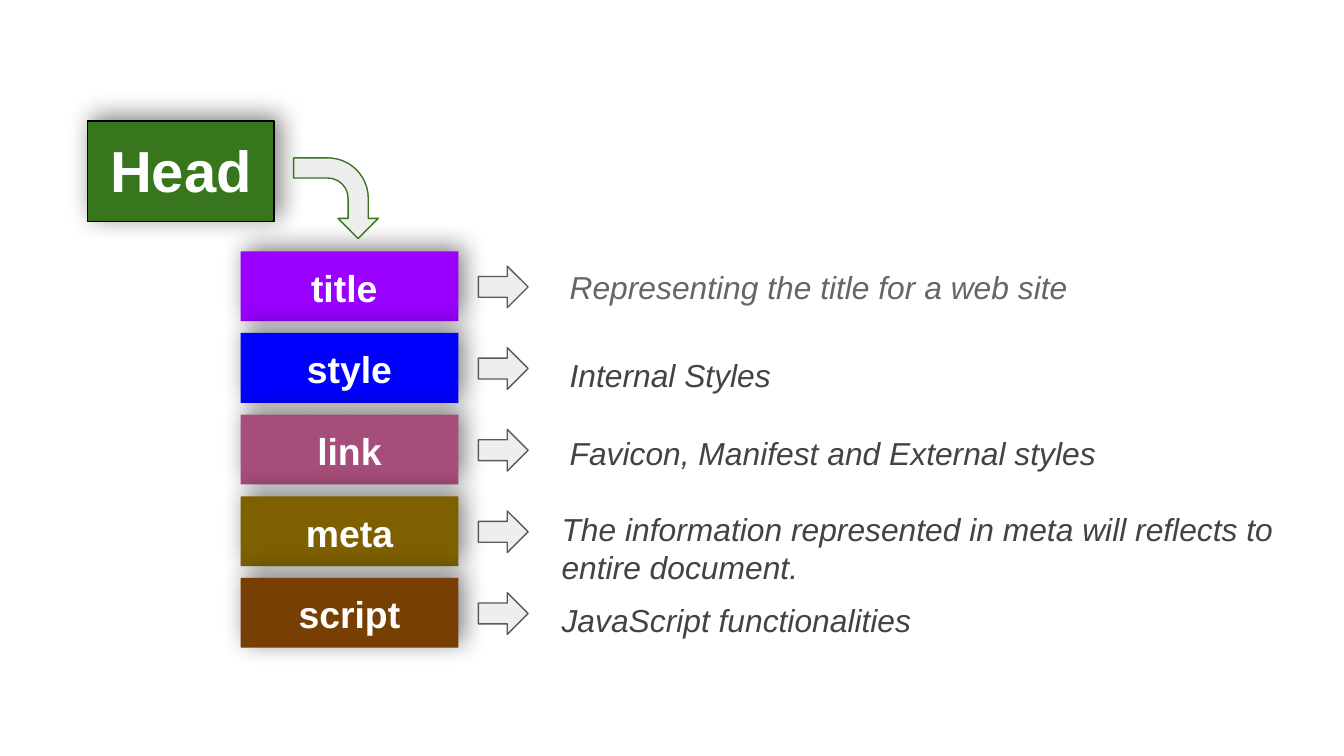
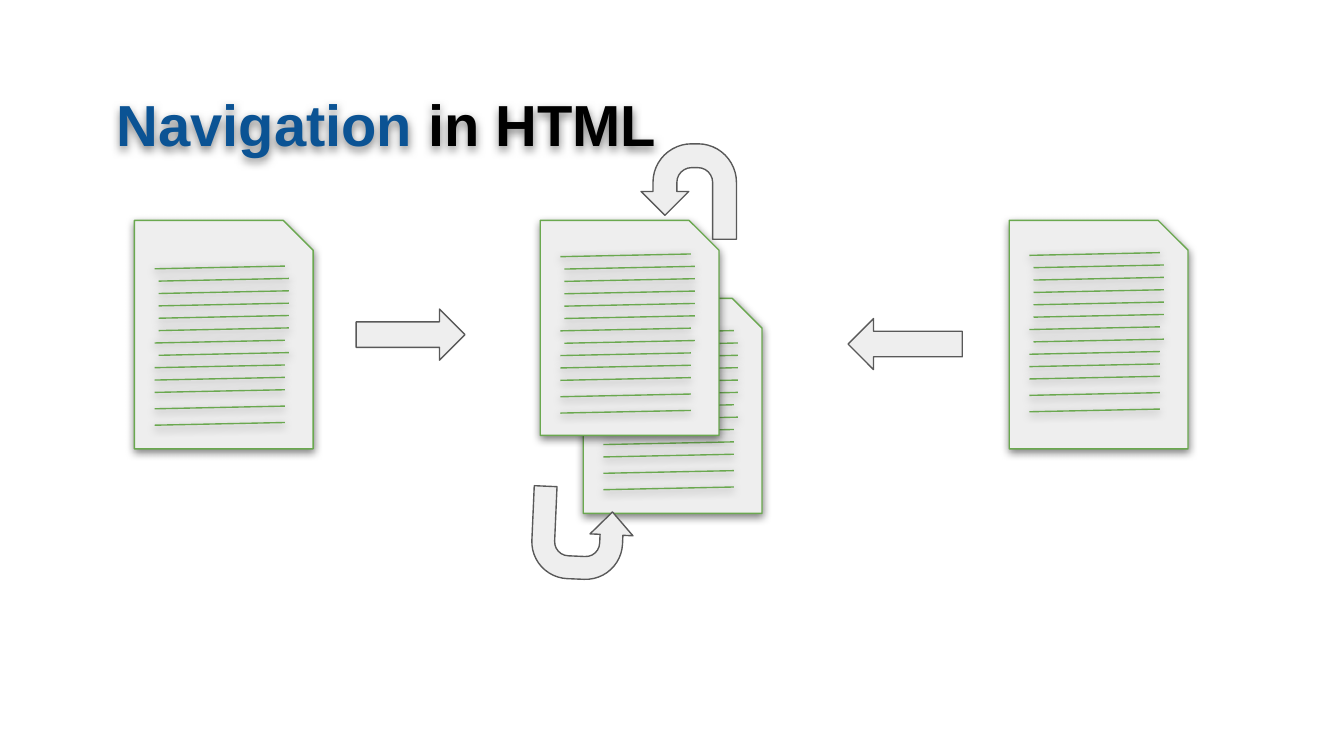
from dataclasses import dataclass

import pptx
import pptx.dml.color
import pptx.enum.shapes
import pptx.enum.text
import pptx.oxml
import pptx.oxml.ns
import pptx.util
from pptx.util import Inches

SHAPE = pptx.enum.shapes.MSO_SHAPE
ALIGN = pptx.enum.text.PP_ALIGN


@dataclass(frozen=True)
class Theme:
    font: str = "Arial"
    title_size: int = 31
    tag_size: int = 20
    note_size: int = 17
    line_width: float = 0.75
    white: str = "FFFFFF"
    black: str = "000000"
    blue: str = "0B5394"
    head_green: str = "38761D"
    page_green: str = "6AA84F"
    pale: str = "EEEEEE"
    outline: str = "595959"
    light_note: str = "666666"
    note: str = "434343"
    # Shadows: blur in points, distance in points, direction in degrees
    box_shadow: tuple = (13.5, 3.8, 316)
    page_shadow: tuple = (4.5, 1.5, 90)


THEME = Theme()

# Tag, box colour, note, note left, note top, note width, note colour
HEAD_TAGS = [
    ("title ", "9900FF", "Representing the title for a web site", 4.14, 1.89, 5.53, THEME.light_note),
    ("style", "0000FF", "Internal Styles", 4.14, 2.55, 4.67, THEME.note),
    ("link", "A64D79", "Favicon, Manifest and External styles", 4.14, 3.13, 5.22, THEME.note),
    ("meta", "7F6000", "The information represented in meta will reflects to entire document.",
     4.08, 3.69, 5.69, THEME.note),
    ("script", "783F04", "JavaScript functionalities", 4.08, 4.37, 4.89, THEME.note),
]
TAG_TOP, TAG_BOTTOM = 1.87, 4.3
TAG_PITCH = (TAG_BOTTOM - TAG_TOP) / (len(HEAD_TAGS) - 1)

# Left, top, height, offset of the first text line
PAGES = [
    (4.34, 2.22, 1.6, 0.26),
    (4.02, 1.64, 1.6, 0.27),
    (1.0, 1.64, 1.7, 0.36),
    (7.51, 1.64, 1.7, 0.26),
]
PAGE_LINE_COUNT = 13
INDENTED_LINES = {1, 2, 3, 4, 5, 7}


def rgb(color):
    return pptx.dml.color.RGBColor.from_string(color)


def add_effects(shape, shadow):
    """Give a shape its own effect list with an outer shadow."""
    properties = shape._element.spPr
    for old in properties.findall(pptx.oxml.ns.qn("a:effectLst")):
        properties.remove(old)
    blur, distance, direction = shadow
    namespace = pptx.oxml.ns.nsdecls("a")
    properties.append(pptx.oxml.parse_xml(
        f'<a:effectLst {namespace}>'
        f'<a:outerShdw blurRad="{pptx.util.Pt(blur)}" dist="{pptx.util.Pt(distance)}" '
        f'dir="{direction * 60000}" algn="bl" rotWithShape="0">'
        f'<a:srgbClr val="{THEME.black}"><a:alpha val="50000"/></a:srgbClr>'
        f'</a:outerShdw></a:effectLst>'
    ))


def add_shape(shapes, kind, box, fill, line=None, shadow=None, adjustments=()):
    shape = shapes.add_shape(kind, *map(Inches, box))
    shape.fill.solid()
    shape.fill.fore_color.rgb = rgb(fill)
    if line:
        shape.line.color.rgb = rgb(line)
        shape.line.width = pptx.util.Pt(THEME.line_width)
    else:
        shape.line.fill.background()
    for index, value in enumerate(adjustments):
        shape.adjustments[index] = value
    shape.shadow.inherit = False
    if shadow:
        add_effects(shape, shadow)
    return shape


def set_frame(shape):
    frame = shape.text_frame
    frame.word_wrap = True
    frame.vertical_anchor = pptx.enum.text.MSO_ANCHOR.TOP
    frame.margin_left = frame.margin_right = Inches(0.1)
    frame.margin_top = frame.margin_bottom = Inches(0.1)
    return frame


def format_run(run, size, color, bold=False, italic=False):
    run.font.name = THEME.font
    run.font.size = pptx.util.Pt(size)
    run.font.color.rgb = rgb(color)
    run.font.bold = bold
    run.font.italic = italic


def add_label_box(shapes, box, text, size, fill, line=None):
    shape = add_shape(shapes, SHAPE.RECTANGLE, box, fill, line, THEME.box_shadow)
    frame = set_frame(shape)
    frame.text = text
    paragraph = frame.paragraphs[0]
    paragraph.alignment = ALIGN.CENTER
    format_run(paragraph.runs[0], size, THEME.white, bold=True)


def add_note(shapes, box, text, color):
    frame = set_frame(shapes.add_textbox(*map(Inches, box)))
    frame.text = text
    format_run(frame.paragraphs[0].runs[0], THEME.note_size, color, italic=True)


def add_title(shapes, box, parts):
    shape = shapes.add_textbox(*map(Inches, box))
    add_effects(shape, THEME.page_shadow)
    paragraph = set_frame(shape).paragraphs[0]
    for text, color in parts:
        run = paragraph.add_run()
        run.text = text
        format_run(run, THEME.title_size, color, bold=True)


def add_arrow(shapes, kind, box, line=THEME.outline, adjustments=()):
    return add_shape(shapes, kind, box, THEME.pale, line, adjustments=adjustments)


def add_uturn(shapes, box, width_ratio, rotation=0):
    arrow = add_arrow(shapes, SHAPE.U_TURN_ARROW, box,
                      adjustments=(0.25, width_ratio, 0.25, 0.404, 0.75))
    arrow._element.spPr.xfrm.set("flipH", "1")
    arrow.rotation = rotation


def add_page(shapes, left, top, height, first_line):
    """A sheet with a snipped corner and slightly tilted text lines."""
    page = shapes.add_group_shape().shapes
    add_shape(page, SHAPE.SNIP_1_RECTANGLE, (left, top, 1.33, height), THEME.pale,
              THEME.page_green, THEME.page_shadow, (0.167,))
    y = top + first_line
    for index in range(PAGE_LINE_COUNT):
        x = left + (0.18 if index in INDENTED_LINES else 0.15)
        line = page.add_connector(pptx.enum.shapes.MSO_CONNECTOR.STRAIGHT,
                                  *map(Inches, (x, y, x + 0.97, y - 0.02)))
        line.line.color.rgb = rgb(THEME.page_green)
        line.line.width = pptx.util.Pt(THEME.line_width)
        add_effects(line, THEME.page_shadow)
        y += 0.092 if index < 10 else 0.122


def build_head_slide(slide):
    shapes = slide.shapes
    # Head and its child tags
    add_label_box(shapes, (0.65, 0.9, 1.39, 0.75), "Head", THEME.title_size,
                  THEME.head_green, THEME.black)
    for index, (tag, fill, *_) in enumerate(HEAD_TAGS):
        add_label_box(shapes, (1.79, TAG_TOP + index * TAG_PITCH, 1.62, 0.52),
                      tag, THEME.tag_size, fill)
    bend = add_arrow(shapes, SHAPE.BENT_ARROW, (2.2, 1.16, 0.6, 0.63), THEME.head_green,
                     (0.25, 0.25, 0.25, 0.502))
    bend.rotation = 90
    # Arrow and explanation for each tag
    for index, (_, _, text, left, top, width, color) in enumerate(HEAD_TAGS):
        row = shapes.add_group_shape().shapes
        add_arrow(row, SHAPE.RIGHT_ARROW, (3.56, TAG_TOP + 0.11 + index * TAG_PITCH, 0.37, 0.31))
        add_note(row, (left, top, width, 0.52), text, color)


def build_navigation_slide(slide):
    shapes = slide.shapes
    add_title(shapes, (0.65, 0.56, 8.71, 0.65),
              [(" ", THEME.black), ("Navigation", THEME.blue), (" in HTML", THEME.black)])
    for page in PAGES:
        add_page(shapes, *page)
    # Links between the pages
    add_arrow(shapes, SHAPE.RIGHT_ARROW, (2.65, 2.3, 0.81, 0.38))
    add_arrow(shapes, SHAPE.LEFT_ARROW, (6.31, 2.37, 0.85, 0.38))
    turns = shapes.add_group_shape().shapes
    add_uturn(turns, (4.77, 1.07, 0.71, 0.71), 0.25)
    add_uturn(turns, (3.96, 3.63, 0.75, 0.68), 0.235, 182.5)


def main():
    presentation = pptx.Presentation()
    # Widescreen, 16:9
    presentation.slide_width = Inches(10)
    presentation.slide_height = Inches(10 * 9 / 16)
    blank = presentation.slide_layouts[6]
    for build in (build_head_slide, build_navigation_slide):
        build(presentation.slides.add_slide(blank))
    presentation.save("out.pptx")


if __name__ == "__main__":
    main()
